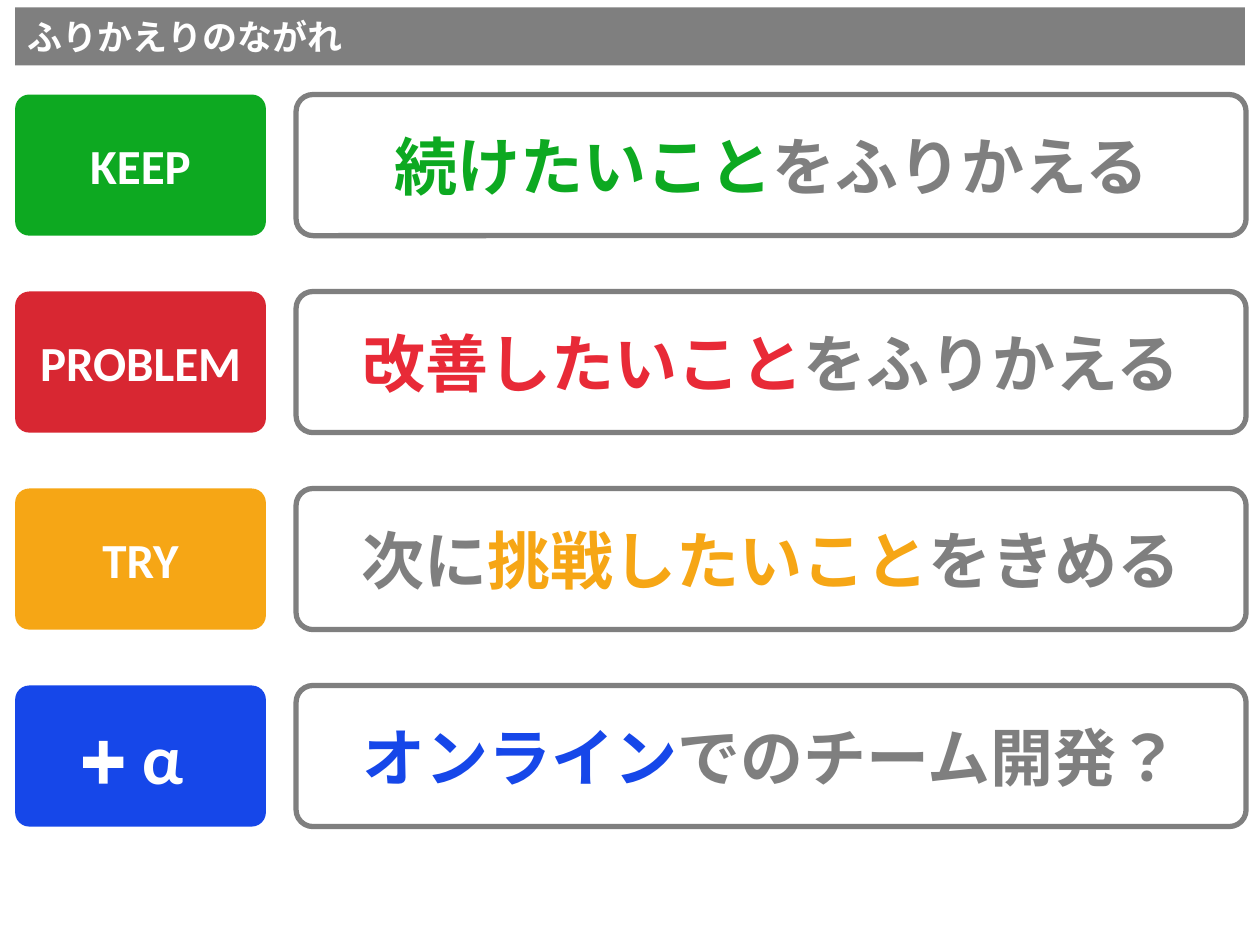
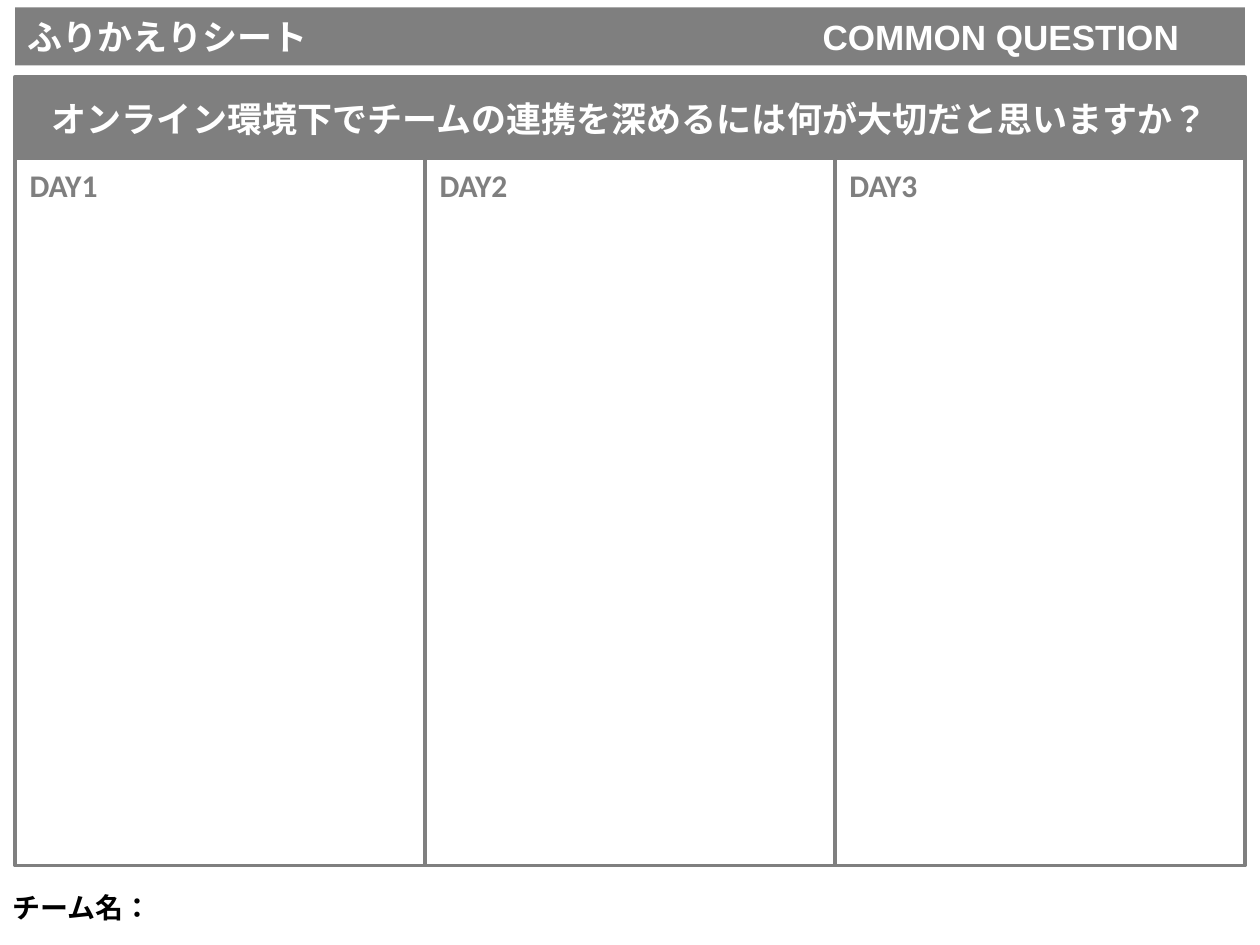
from dataclasses import dataclass

from lxml import etree
from pptx import Presentation
from pptx.dml.color import RGBColor
from pptx.enum.lang import MSO_LANGUAGE_ID
from pptx.enum.shapes import MSO_CONNECTOR, MSO_SHAPE
from pptx.enum.text import MSO_ANCHOR, PP_ALIGN
from pptx.oxml.ns import qn
from pptx.shapes.base import BaseShape
from pptx.slide import Slide
from pptx.text.text import TextFrame
from pptx.util import Inches, Pt

RECT = MSO_SHAPE.RECTANGLE
ROUNDED = MSO_SHAPE.ROUNDED_RECTANGLE
PLUS = MSO_SHAPE.CROSS
STRAIGHT = MSO_CONNECTOR.STRAIGHT
LEFT = PP_ALIGN.LEFT
CENTER = PP_ALIGN.CENTER
MIDDLE = MSO_ANCHOR.MIDDLE
TOP = MSO_ANCHOR.TOP
JAPANESE = MSO_LANGUAGE_ID.JAPANESE

WHITE = RGBColor(0xFF, 0xFF, 0xFF)
BLACK = RGBColor(0, 0, 0)
GREY = RGBColor(0x7F, 0x7F, 0x7F)
GREEN = RGBColor(0x0D, 0xA9, 0x21)
RED = RGBColor(0xD8, 0x27, 0x32)
BRIGHT_RED = RGBColor(0xE8, 0x2A, 0x37)
ORANGE = RGBColor(0xF6, 0xA6, 0x15)
BLUE = RGBColor(0x16, 0x47, 0xE9)

HEADING_FONT = "Arial"
BODY_FONT = "Calibri"

MARGIN = 0.12
CONTENT_WIDTH = 9.76
TITLE_TAB = 6.31

ROW_TOP = 0.75
ROW_PITCH = (5.44 - ROW_TOP) / 3
ROW_HEIGHT = 1.12

SHEET_TOP = 0.61
SHEET_BOTTOM = 6.87
QUESTION_HEIGHT = 0.66
DAYS = ("DAY1", "DAY2", "DAY3")


@dataclass(frozen=True)
class Phrase:
    """A stretch of text in one colour."""
    text: str
    color: RGBColor


@dataclass(frozen=True)
class TextStyle:
    """How a line of bold text is set."""
    font: str
    size: int
    align: PP_ALIGN = CENTER
    anchor: MSO_ANCHOR = MIDDLE


@dataclass(frozen=True)
class Step:
    """One step of the review: its tag and what it asks."""
    tag: str
    color: RGBColor
    phrases: tuple[Phrase, ...]
    tag_size: int = 28
    tag_indent: float = 0.1


HEADING = TextStyle(HEADING_FONT, 20, LEFT)
QUESTION = TextStyle(HEADING_FONT, 20)
TEAM = TextStyle(HEADING_FONT, 16, LEFT, TOP)
DAY = TextStyle(BODY_FONT, 18, CENTER, TOP)
STATEMENT = TextStyle(BODY_FONT, 36)

STEPS = (
    Step("KEEP", GREEN,
         (Phrase("続けたいこと", GREEN), Phrase("をふりかえる", GREY))),
    Step("PROBLEM", RED,
         (Phrase("改善したいこと", BRIGHT_RED), Phrase("をふりかえる", GREY))),
    Step("TRY", ORANGE,
         (Phrase("次に", GREY), Phrase("挑戦したいこと", ORANGE),
          Phrase("をきめる", GREY))),
    Step("α", BLUE,
         (Phrase("オンライン", BLUE), Phrase("でのチーム開発？", GREY)),
         tag_size=40, tag_indent=0.45),
)


def write(frame: TextFrame, style: TextStyle, *phrases: Phrase) -> None:
    """Set one line made of coloured phrases."""
    frame.vertical_anchor = style.anchor
    line = frame.paragraphs[0]
    line.alignment = style.align
    for phrase in phrases:
        run = line.add_run()
        run.text = phrase.text
        run.font.name = style.font
        run.font.size = Pt(style.size)
        run.font.bold = True
        run.font.color.rgb = phrase.color
        run.font.language_id = JAPANESE


def add_box(slide: Slide, kind: MSO_SHAPE, left: float, top: float,
            width: float, height: float, fill: RGBColor,
            border: float = 0, adjust: float | None = None) -> BaseShape:
    """Add a filled shape, with a grey border if a border width is given."""
    box = slide.shapes.add_shape(kind, Inches(left), Inches(top),
                                 Inches(width), Inches(height))
    box.shadow.inherit = False
    box.fill.solid()
    box.fill.fore_color.rgb = fill
    if border:
        box.line.color.rgb = GREY
        box.line.width = Pt(border)
    else:
        box.line.fill.background()
    if adjust is not None:
        box.adjustments[0] = adjust
    return box


def add_label(slide: Slide, text: str, left: float, top: float, width: float,
              height: float, style: TextStyle, color: RGBColor) -> None:
    """Add a plain line of text."""
    label = slide.shapes.add_textbox(Inches(left), Inches(top),
                                     Inches(width), Inches(height))
    label.text_frame.word_wrap = False
    write(label.text_frame, style, Phrase(text, color))


def add_divider(slide: Slide, x: float, top: float, bottom: float) -> None:
    """Add a vertical grey line."""
    divider = slide.shapes.add_connector(STRAIGHT, Inches(x), Inches(top),
                                         Inches(x), Inches(bottom))
    divider.line.color.rgb = GREY
    divider.line.width = Pt(2.25)
    etree.SubElement(divider.line._ln.getparent(), qn("a:effectLst"))


def add_title_band(slide: Slide, title: str) -> None:
    """Add the grey title band; a tab in the title leads to its right part."""
    band = add_box(slide, RECT, MARGIN, 0.06, CONTENT_WIDTH, 0.46, GREY)
    write(band.text_frame, HEADING, Phrase(title, WHITE))
    properties = band.text_frame.paragraphs[0]._p.get_or_add_pPr()
    stops = etree.SubElement(properties, qn("a:tabLst"))
    etree.SubElement(stops, qn("a:tab"), pos=str(Inches(TITLE_TAB)), algn="l")


def add_step(slide: Slide, step: Step, top: float) -> None:
    """Add a step's statement and its coloured tag."""
    statement = add_box(slide, ROUNDED, 2.35, top, 7.54, ROW_HEIGHT, WHITE,
                        border=3, adjust=0.12)
    write(statement.text_frame, STATEMENT, *step.phrases)
    tag = add_box(slide, ROUNDED, MARGIN, top, 1.99, ROW_HEIGHT, step.color,
                  adjust=0.1)
    tag.text_frame.margin_left = Inches(step.tag_indent)
    write(tag.text_frame, TextStyle(BODY_FONT, step.tag_size),
          Phrase(step.tag, WHITE))


def build_flow(slide: Slide) -> None:
    """Draw the flow of the review."""
    add_title_band(slide, "ふりかえりのながれ")
    for row, step in enumerate(STEPS):
        add_step(slide, step, ROW_TOP + row * ROW_PITCH)
    add_box(slide, PLUS, 0.66, 5.88, 0.32, 0.34, WHITE, adjust=0.39)


def build_sheet(slide: Slide) -> None:
    """Draw the sheet with one column per day."""
    add_title_band(slide, "ふりかえりシート\tCOMMON QUESTION")
    add_label(slide, "チーム名：", 0, 7.02, 1.48, 0.37, TEAM, BLACK)
    add_box(slide, RECT, MARGIN, SHEET_TOP, CONTENT_WIDTH,
            SHEET_BOTTOM - SHEET_TOP, WHITE, border=2.25)
    question = add_box(slide, RECT, MARGIN, SHEET_TOP, CONTENT_WIDTH,
                       QUESTION_HEIGHT, GREY)
    write(question.text_frame, QUESTION, Phrase(
        "オンライン環境下でチームの連携を深めるには何が大切だと思いますか？", WHITE))
    days_top = SHEET_TOP + QUESTION_HEIGHT
    for column, day in enumerate(DAYS):
        left = MARGIN + column * CONTENT_WIDTH / len(DAYS)
        if column:
            add_divider(slide, left, days_top, SHEET_BOTTOM)
        add_label(slide, day, left, days_top, 0.77, 0.4, DAY, GREY)


def main() -> None:
    """Build and save the two slides."""
    deck = Presentation()
    deck.slide_width = Inches(10)
    deck.slide_height = Inches(7.5)
    blank = deck.slide_layouts[6]
    for build in (build_flow, build_sheet):
        build(deck.slides.add_slide(blank))
    deck.save("out.pptx")


main()
